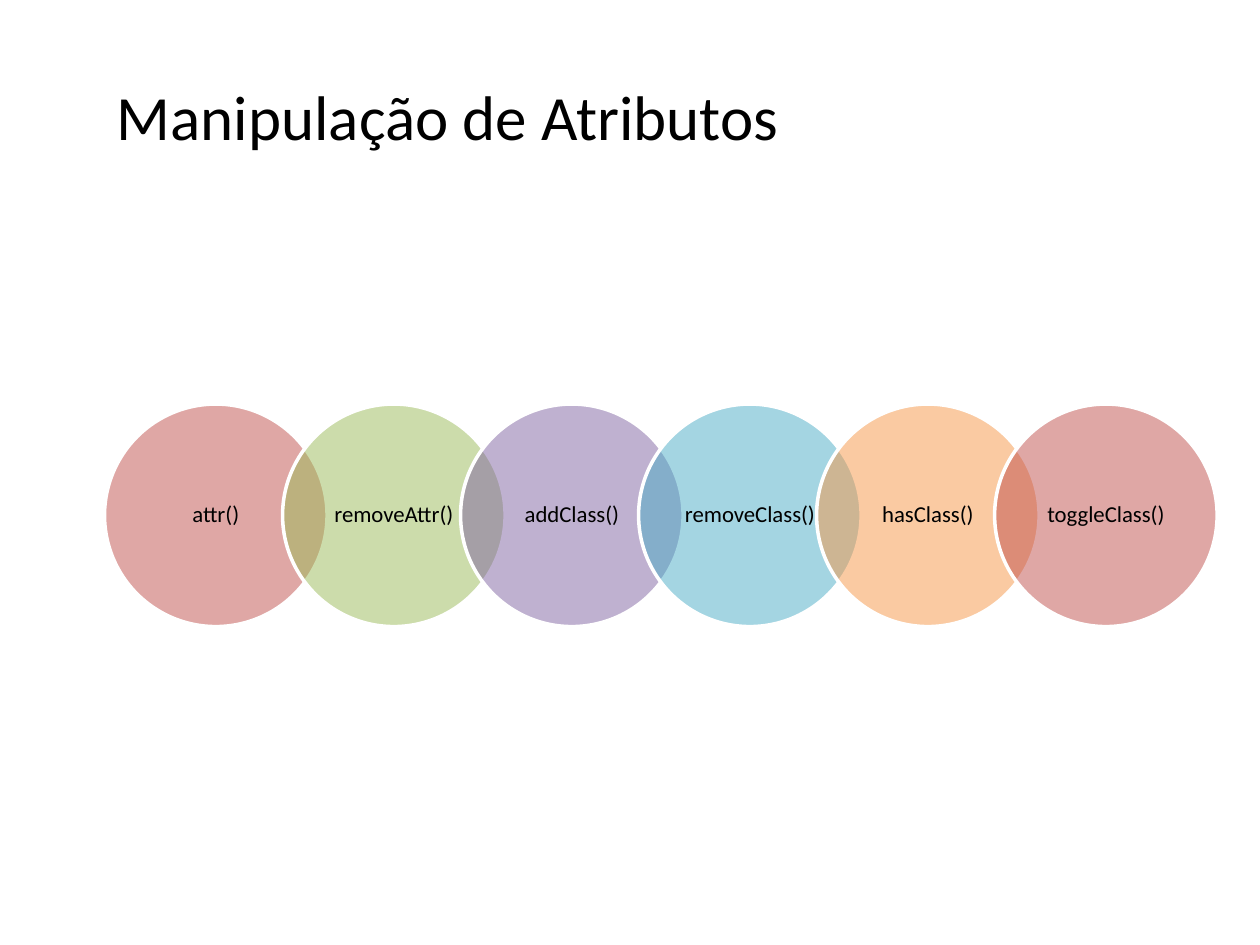
from dataclasses import dataclass
from math import sqrt

from lxml.etree import SubElement
from pptx import Presentation
from pptx.dml.color import RGBColor
from pptx.enum.shapes import MSO_SHAPE
from pptx.enum.text import MSO_ANCHOR, PP_ALIGN
from pptx.oxml.ns import qn
from pptx.slide import Slide
from pptx.util import Inches, Pt

BLACK = RGBColor(0x00, 0x00, 0x00)
WHITE = RGBColor(0xFF, 0xFF, 0xFF)
RED = RGBColor(0xC0, 0x50, 0x4D)
GREEN = RGBColor(0x9B, 0xBB, 0x59)
PURPLE = RGBColor(0x80, 0x64, 0xA2)
AQUA = RGBColor(0x4B, 0xAC, 0xC6)
ORANGE = RGBColor(0xF7, 0x96, 0x46)

FONT = "Calibri"
CONTENT_LEFT = 0.83
CONTENT_WIDTH = 8.83
CENTER_Y = 4.09
STEP_SHARE = 0.8
OPACITY_PERCENT = 50


@dataclass(frozen=True)
class Method:
    name: str
    color: RGBColor


@dataclass(frozen=True)
class Box:
    left: float
    top: float
    width: float
    height: float

    def lengths(self) -> tuple:
        return tuple(map(Inches, (self.left, self.top, self.width, self.height)))


METHODS = (
    Method("attr()", RED),
    Method("removeAttr()", GREEN),
    Method("addClass()", PURPLE),
    Method("removeClass()", AQUA),
    Method("hasClass()", ORANGE),
    Method("toggleClass()", RED),
)


def square_around(center_x: float, center_y: float, side: float) -> Box:
    return Box(center_x - side / 2, center_y - side / 2, side, side)


def add_text(slide: Slide, box: Box, text: str, size: float,
             alignment: PP_ALIGN, vertical_inset: float):
    text_frame = slide.shapes.add_textbox(*box.lengths()).text_frame
    text_frame.word_wrap = True
    text_frame.vertical_anchor = MSO_ANCHOR.MIDDLE
    text_frame.margin_top = text_frame.margin_bottom = Inches(vertical_inset)
    text_frame.text = text
    paragraph = text_frame.paragraphs[0]
    paragraph.alignment = alignment
    font = paragraph.runs[0].font
    font.name = FONT
    font.size = Pt(size)
    font.color.rgb = BLACK
    return paragraph


def add_circle(slide: Slide, box: Box, color: RGBColor) -> None:
    shape = slide.shapes.add_shape(MSO_SHAPE.OVAL, *box.lengths())
    shape.shadow.inherit = False
    shape.fill.solid()
    shape.fill.fore_color.rgb = color
    color_element = next(shape.element.spPr.iter(qn("a:srgbClr")))
    SubElement(color_element, qn("a:alpha"), val=str(OPACITY_PERCENT * 1000))
    shape.line.color.rgb = WHITE
    shape.line.width = Pt(2)


def add_method_chain(slide: Slide) -> None:
    diameter = CONTENT_WIDTH / (1 + STEP_SHARE * (len(METHODS) - 1))
    for column, method in enumerate(METHODS):
        center_x = CONTENT_LEFT + diameter * (0.5 + STEP_SHARE * column)
        add_circle(slide, square_around(center_x, CENTER_Y, diameter), method.color)
        label_box = square_around(center_x, CENTER_Y, diameter / sqrt(2))
        paragraph = add_text(slide, label_box, method.name, 13, PP_ALIGN.CENTER, 0.02)
        paragraph.line_spacing = 0.9


def main() -> None:
    presentation = Presentation()
    presentation.slide_width = Inches(10)
    presentation.slide_height = Inches(7.5)
    slide = presentation.slides.add_slide(presentation.slide_layouts[6])
    title_box = Box(CONTENT_LEFT, 0.29, CONTENT_WIDTH, 1.25)
    add_text(slide, title_box, "Manipulação de Atributos", 36, PP_ALIGN.LEFT, 0.05)
    add_method_chain(slide)
    presentation.save("out.pptx")


if __name__ == "__main__":
    main()
